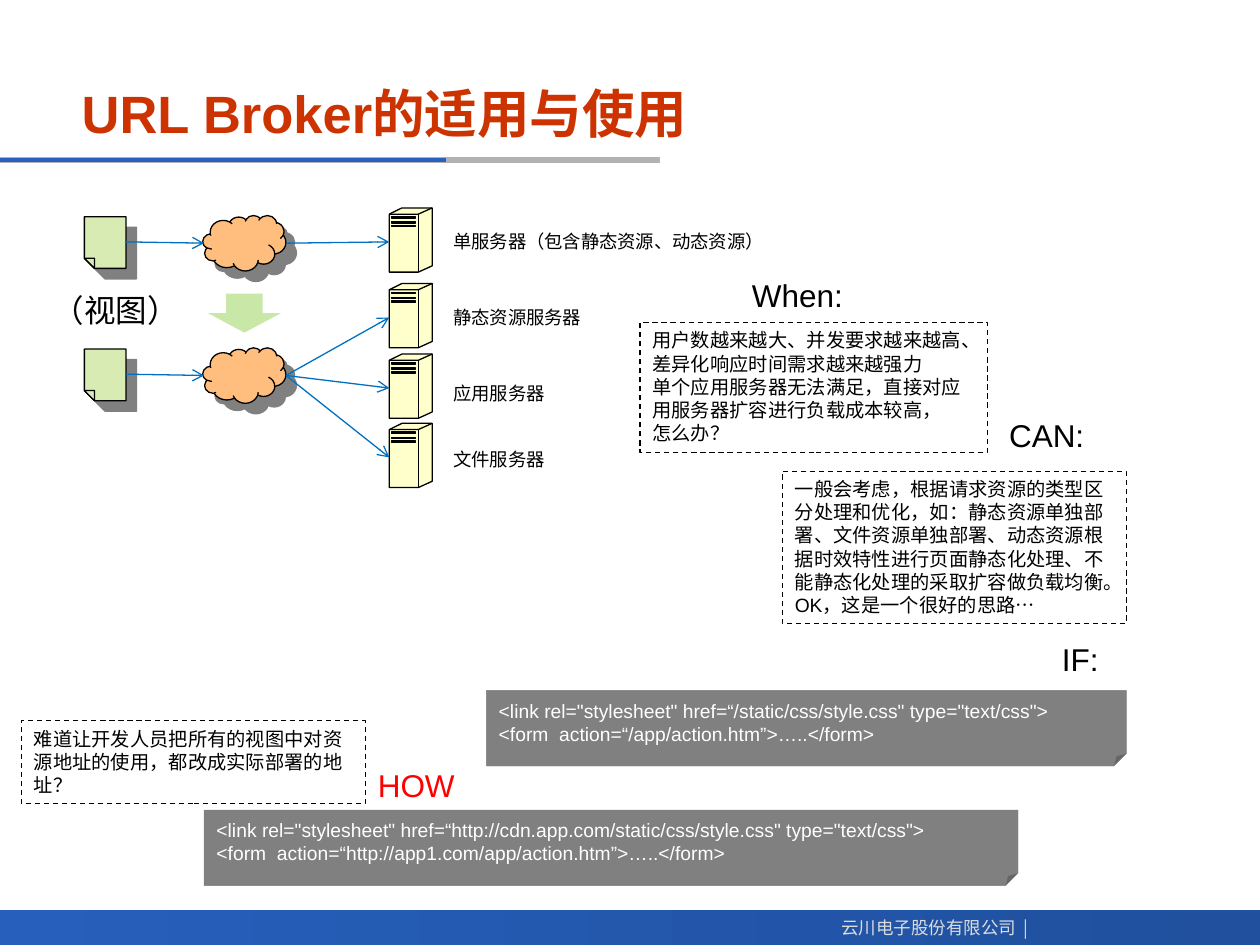
import lxml.etree
import pptx
import pptx.dml.color
import pptx.enum.dml
import pptx.enum.shapes
import pptx.enum.text
import pptx.oxml.ns
import pptx.util

Inches = pptx.util.Inches
Pt = pptx.util.Pt
qn = pptx.oxml.ns.qn
SHAPE = pptx.enum.shapes.MSO_SHAPE
ANCHOR = pptx.enum.text.MSO_ANCHOR
ALIGN = pptx.enum.text.PP_ALIGN
DASH = pptx.enum.dml.MSO_LINE.DASH

COLORS = {
    "title": "CC3300", "text": "000000", "white": "FFFFFF", "red": "FF0000",
    "footer": "DDDDDD", "bar_left": "265FBC", "bar_right": "20509E",
    "rule_gray": "B2B2B2", "rule_blue": "2A60C0", "arrow": "0070C0",
    "page": "D8EBB3", "cloud": "FFBE7D", "server": "FFFFCC",
    "down": "C9E7A7", "code": "808080", "shadow": "808080",
}


class Deck:
    """Hold the style and the current slide, and add each kind of element."""

    font = "Arial"
    cjk_font = "Noto Sans CJK SC"

    def __init__(self, s):
        self.s = s

    def color(self, name):
        return pptx.dml.color.RGBColor.from_string(COLORS[name])

    def style(self, sp, fill=None, line=None, width=0.75, dash=None, shadow=False):
        sp.shadow.inherit = False
        if fill:
            sp.fill.solid()
            sp.fill.fore_color.rgb = self.color(fill)
        else:
            sp.fill.background()
        if line:
            sp.line.color.rgb = self.color(line)
            for name, value in {"width": Pt(width), "dash_style": dash}.items():
                setattr(sp.line, name, value)
        else:
            sp.line.fill.background()
        if shadow:
            effects = sp._element.spPr.find(qn("a:effectLst"))
            outer = lxml.etree.SubElement(
                effects, qn("a:outerShdw"), dist=str(Pt(8.5)), dir="2700000",
                algn="ctr", rotWithShape="0")
            lxml.etree.SubElement(outer, qn("a:srgbClr"), val=COLORS["shadow"])
        return sp

    def fill_text(self, sp, lines, size, color="text", bold=False, wrap=True,
                  anchor=ANCHOR.TOP, align=ALIGN.LEFT, font=None):
        tf = sp.text_frame
        for name, value in {"word_wrap": wrap, "vertical_anchor": anchor}.items():
            setattr(tf, name, value)
        for i, line in enumerate(lines):
            p = tf.add_paragraph() if i else tf.paragraphs[0]
            p.alignment = align
            r = p.add_run()
            r.text = line
            formats = {"name": font or self.font, "size": Pt(size), "bold": bold}
            for name, value in formats.items():
                setattr(r.font, name, value)
            r.font.color.rgb = self.color(color)
            latin = r._r.rPr.find(qn("a:latin"))
            latin.addnext(latin.makeelement(qn("a:ea"), typeface=self.cjk_font))

    def text(self, box, line, size, color="text", **formats):
        sp = self.s.shapes.add_textbox(*map(Inches, box))
        self.fill_text(sp, [line], size, color, **{"wrap": False, **formats})

    def shape(self, kind, box, **look):
        sp = self.s.shapes.add_shape(kind, *map(Inches, box))
        return self.style(sp, **look)

    def note(self, box, lines):
        sp = self.shape(SHAPE.RECTANGLE, box, line="text", dash=DASH)
        self.fill_text(sp, lines, 11)

    def code(self, box, lines):
        sp = self.shape(SHAPE.FOLDED_CORNER, box, fill="code", line="code", width=0.25)
        self.fill_text(sp, lines, 11, "white", anchor=ANCHOR.MIDDLE)

    def line(self, start, end, color, width=0.75, arrow=False):
        c = self.s.shapes.add_connector(
            pptx.enum.shapes.MSO_CONNECTOR.STRAIGHT, *map(Inches, start + end))
        c.line.color.rgb = self.color(color)
        c.line.width = Pt(width)
        spPr = c._element.spPr
        if arrow:
            lxml.etree.SubElement(spPr.find(qn("a:ln")), qn("a:tailEnd"), type="arrow")
        lxml.etree.SubElement(spPr, qn("a:effectLst"))

    def outline(self, left, top, contours, closed=True, **look):
        outlines = [[(Inches(left + x), Inches(top + y)) for x, y in points]
                    for points in contours]
        builder = self.s.shapes.build_freeform(*outlines[0][0])
        for i, points in enumerate(outlines):
            if i:
                builder.move_to(*points[0])
            builder.add_line_segments(points[1:], close=closed)
        self.style(builder.convert_to_shape(), line="text", **look)

    def page(self, left, top):
        w, h, fold = 0.33, 0.41, 0.08
        body = [(0, 0), (w, 0), (w, h), (fold, h), (0, h - fold)]
        corner = [(0, h - fold), (fold, h - fold), (fold, h)]
        self.outline(left, top, [body], fill="page", shadow=True)
        self.outline(left, top, [corner], fill="page")

    def server(self, left, top):
        w, h, front, depth = 0.34, 0.51, 0.23, 0.05
        body = [(0, depth), (0.1, 0), (w, 0), (w, h - depth), (front, h), (0, h)]
        edges = [[(0, depth), (front, depth), (w, 0)], [(front, depth), (front, h)]]
        slots = [[(0.02, y), (0.21, y), (0.21, y + 0.01), (0.02, y + 0.01), (0.02, y)]
                 for y in (0.07, 0.11, 0.14)]
        self.outline(left, top, [body], fill="server")
        self.outline(left, top, edges + slots, closed=False)


def main():
    prs = pptx.Presentation()
    prs.slide_width, prs.slide_height = Inches(10), Inches(7.5)
    d = Deck(prs.slides.add_slide(prs.slide_layouts[6]))

    bar = d.shape(SHAPE.RECTANGLE, (0, 7.22, 10, 0.28))
    bar.fill.gradient()
    bar.fill.gradient_angle = 0
    for stop, name in zip(bar.fill.gradient_stops, ("bar_left", "bar_right")):
        stop.color.rgb = d.color(name)
    d.line((0, 1.27), (5.24, 1.27), "rule_gray", 3)
    d.line((0, 1.27), (3.54, 1.27), "rule_blue", 2.25)
    d.text((6.51, 7.23, 1.75, 0.27), "云川电子股份有限公司  |", 10, "footer",
           align=ALIGN.RIGHT, font=d.cjk_font)
    d.text((0.55, 0.56, 6.92, 0.67), "URL Broker的适用与使用", 30, "title",
           bold=True, wrap=True, anchor=ANCHOR.MIDDLE)

    for top, server_tops in ((1.72, (1.65,)), (2.77, (2.25, 2.81, 3.36))):
        middle = top + 0.21
        d.page(0.67, top)
        d.shape(SHAPE.CLOUD, (1.61, top - 0.01, 0.66, 0.44), fill="cloud",
                line="text", shadow=True)
        d.line((1, middle - 0.01), (1.62, middle), "arrow", arrow=True)
        for server_top in server_tops:
            d.server(3.09, server_top)
            d.line((2.27, middle), (3.09, server_top + 0.27), "arrow", arrow=True)
    d.shape(SHAPE.DOWN_ARROW, (1.65, 2.33, 0.58, 0.31), fill="down")

    for top, width, label in (
            (1.78, 2.71, "单服务器（包含静态资源、动态资源）"),
            (2.38, 1.23, "静态资源服务器"),
            (2.98, 0.94, "应用服务器"),
            (3.51, 0.94, "文件服务器")):
        d.text((3.5, top, width, 0.28), label, 10.5)

    for left, top, width, label, color in (
            (0.32, 2.26, 1.21, "（视图）", "text"),
            (5.87, 2.14, 0.93, "When:", "text"),
            (7.91, 3.25, 0.81, "CAN:", "text"),
            (8.33, 5.03, 0.5, "IF:", "text"),
            (2.9, 6.03, 0.82, "HOW", "red")):
        d.text((left, top, width, 0.4), label, 18, color)

    d.note((5.08, 2.56, 2.76, 1.03), [
        "用户数越来越大、并发要求越来越高、差异化响应时间需求越来越强力",
        "单个应用服务器无法满足，直接对应用服务器扩容进行负载成本较高，",
        "怎么办？"])
    d.note((6.21, 3.74, 2.73, 1.21), [
        "一般会考虑，根据请求资源的类型区分处理和优化，如：静态资源单独部署、"
        "文件资源单独部署、动态资源根据时效特性进行页面静态化处理、"
        "不能静态化处理的采取扩容做负载均衡。",
        "OK，这是一个很好的思路…"])
    d.note((0.17, 5.72, 2.73, 0.66), [
        "难道让开发人员把所有的视图中对资源地址的使用，都改成实际部署的地址？"])

    for box, css_host, app_host in (
            ((3.86, 5.48, 5.08, 0.6), "", ""),
            ((1.62, 6.43, 6.46, 0.6), "http://cdn.app.com", "http://app1.com")):
        d.code(box, [
            f'<link rel="stylesheet" href=“{css_host}/static/css/style.css" type="text/css">',
            f"<form  action=“{app_host}/app/action.htm”>…..</form>"])

    prs.save("out.pptx")


if __name__ == "__main__":
    main()
